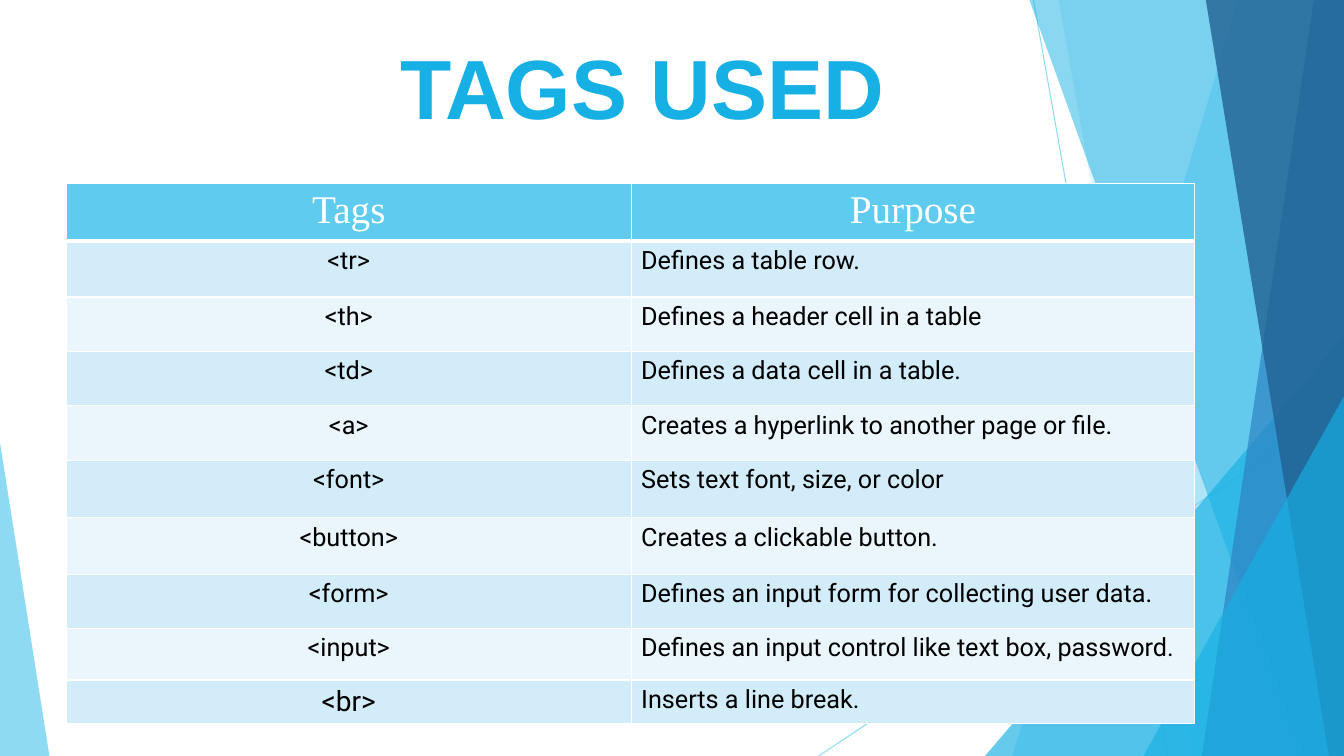
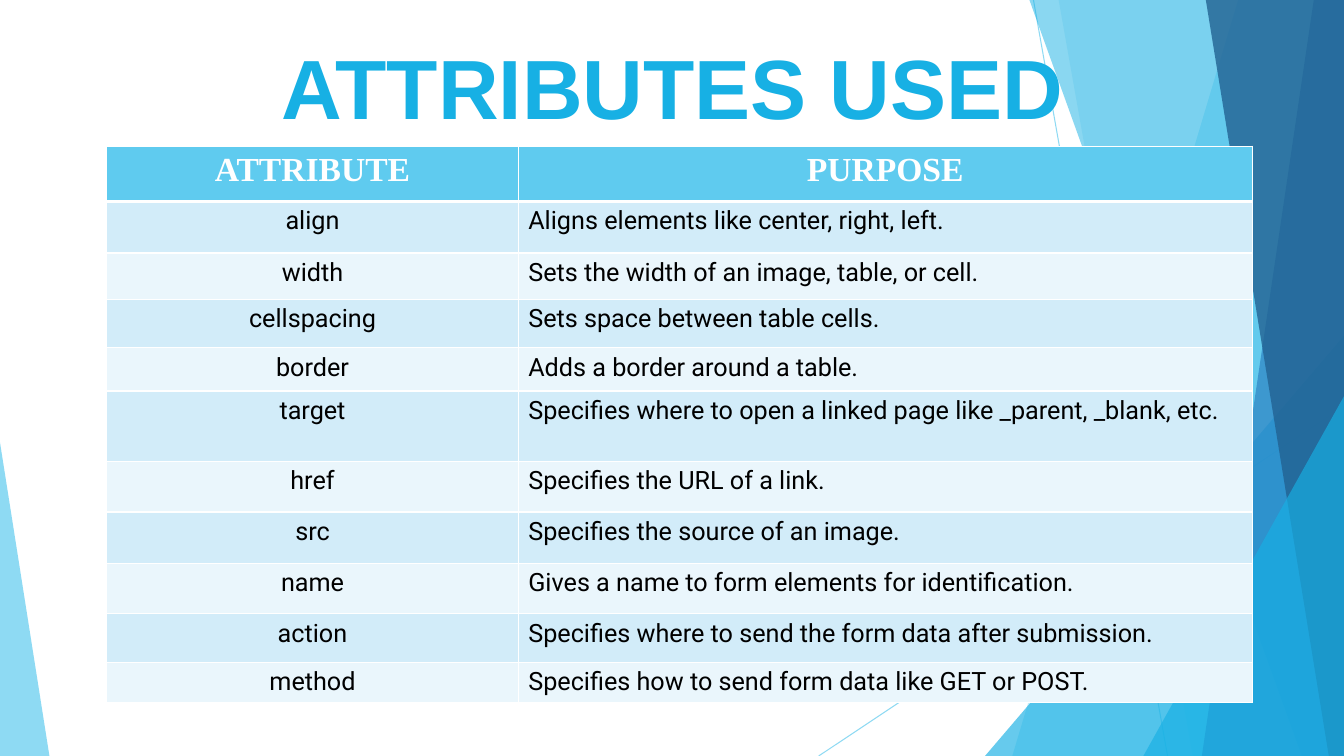
"""Build two slides that list HTML tags and attributes in tables."""
from lxml.etree import SubElement
from pptx import Presentation
from pptx.dml.color import RGBColor
from pptx.enum.shapes import MSO_CONNECTOR, MSO_SHAPE
from pptx.enum.text import PP_ALIGN
from pptx.oxml import parse_xml
from pptx.oxml.ns import nsdecls, qn
from pptx.util import Emu, Pt

EMU_PER_PX = 9144
WIDTH, HEIGHT = 1333, 750
SKY, CYAN, BLUE, NAVY = "5FCBEF", "17B0E4", "2E83C3", "226292"
WHITE, BLACK = "FFFFFF", "000000"
BANDS = ["D2ECF9", "EAF6FC"]

RAYS = [(1025, 0, 1158, HEIGHT), (WIDTH, 403, 812, HEIGHT)]
# Two numbers: top and bottom x of a facet; five: left, top, width, height, apex.
FACETS = [
    (SKY, 36, (1228, 1004)),
    (SKY, 20, (1050, 1183)),
    (CYAN, 66, (977, 333, 356, 417, 1)),
    (CYAN, 50, (1021, 1291)),
    (BLUE, 70, (1303, 1192)),
    (NAVY, 80, (1196, 1318)),
    (CYAN, 66, (1134, 393, 199, 357, 1)),
    (SKY, 70, (0, 439, 49, 311, 0)),
]

SLIDES = [
    {
        "title": "TAGS USED", "title_left": 62,
        "table_at": (66, 182), "columns": (560, 559),
        "header_size": 28, "header_bold": False,
        "rows": [
            (56, "Tags", "Purpose"),
            (56, "<tr>", "Defines a table row."),
            (54, "<th>", "Defines a header cell in a table"),
            (54, "<td>", "Defines a data cell in a table."),
            (54, "<a>", "Creates a hyperlink to another page or file."),
            (57, "<font>", "Sets text font, size, or color"),
            (56, "<button>", "Creates a clickable button."),
            (54, "<form>", "Defines an input form for collecting user data."),
            (51, "<input>", "Defines an input control like text box, password."),
            (43, "<br>", "Inserts a line break."),
        ],
    },
    {
        "title": "ATTRIBUTES USED", "title_left": 92,
        "table_at": (106, 145), "columns": (408, 728),
        "header_size": 24, "header_bold": True,
        "rows": [
            (55, "ATTRIBUTE", "PURPOSE"),
            (51, "align", "Aligns elements like center, right, left."),
            (46, "width", "Sets the width of an image, table, or cell."),
            (48, "cellspacing", "Sets space between table cells."),
            (43, "border", "Adds a border around a table."),
            (70, "target", "Specifies where to open a linked page like _parent, _blank, etc."),
            (50, "href", "Specifies the URL of a link."),
            (51, "src", "Specifies the source of an image."),
            (50, "name", "Gives a name to form elements for identification."),
            (48, "action", "Specifies where to send the form data after submission."),
            (40, "method", "Specifies how to send form data like GET or POST."),
        ],
    },
]


def px(*lengths):
    """Turn px lengths into EMU."""
    return [Emu(length * EMU_PER_PX) for length in lengths]


def paint(fill, color):
    """Fill a shape, line, cell or font with a hex colour."""
    fill.solid()
    fill.fore_color.rgb = RGBColor.from_string(color)


presentation = Presentation()
presentation.slide_width, presentation.slide_height = px(WIDTH, HEIGHT)

for content in SLIDES:
    slide = presentation.slides.add_slide(presentation.slide_layouts[6])
    shapes = slide.shapes
    decorations = []

    for ends in RAYS:
        ray = shapes.add_connector(MSO_CONNECTOR.STRAIGHT, *px(*ends))
        ray.line.width = Pt(0.75)
        paint(ray.line.fill, SKY)
        SubElement(ray.element.spPr, qn("a:effectLst"))
        decorations.append((ray, 70))

    for color, opacity, geometry in FACETS:
        if len(geometry) == 2:
            top_x, bottom_x = geometry
            outline = shapes.build_freeform(top_x, 0, EMU_PER_PX)
            outline.add_line_segments([(WIDTH, 0), (WIDTH, HEIGHT), (bottom_x, HEIGHT)])
            facet = outline.convert_to_shape()
        else:
            *box, apex = geometry
            facet = shapes.add_shape(MSO_SHAPE.ISOSCELES_TRIANGLE, *px(*box))
            facet.adjustments[0] = apex
        facet.shadow.inherit = False
        facet.line.fill.background()
        paint(facet.fill, color)
        decorations.append((facet, opacity))

    for shape, opacity in decorations:
        for color_element in shape.element.iter(qn("a:srgbClr")):
            SubElement(color_element, qn("a:alpha"), val=str(opacity * 1000))

    title = shapes.add_textbox(*px(content["title_left"], 30, 1150, 106))
    title.text_frame.word_wrap = True
    paragraph = title.text_frame.paragraphs[0]
    paragraph.text = content["title"]
    paragraph.alignment = PP_ALIGN.CENTER
    paragraph.font.name = "Arial"
    paragraph.font.size = Pt(60)
    paragraph.font.bold = True
    paint(paragraph.font.fill, CYAN)

    rows, columns = content["rows"], content["columns"]
    table_size = sum(columns), sum(row[0] for row in rows)
    table = shapes.add_table(
        len(rows), len(columns), *px(*content["table_at"], *table_size)
    ).table
    table.first_row = table.horz_banding = False
    for column, width in zip(table.columns, columns):
        column.width = px(width)[0]

    for row_index, (height, *texts) in enumerate(rows):
        table.rows[row_index].height = px(height)[0]
        is_header = row_index == 0
        for column_index, text in enumerate(texts):
            cell = table.cell(row_index, column_index)
            borders = {"L": 1, "R": 1, "T": 3 if row_index == 1 else 1, "B": 3 if is_header else 1}
            properties = cell._tc.get_or_add_tcPr()
            for side, width in borders.items():
                properties.append(parse_xml(
                    f'<a:ln{side} {nsdecls("a")} w="{Pt(width)}"><a:solidFill>'
                    f'<a:srgbClr val="{WHITE}"/></a:solidFill></a:ln{side}>'
                ))
            paint(cell.fill, SKY if is_header else BANDS[(row_index - 1) % 2])

            paragraph = cell.text_frame.paragraphs[0]
            paragraph.text = text
            if is_header or column_index == 0:
                paragraph.alignment = PP_ALIGN.CENTER
            font = paragraph.font
            font.name = "Times New Roman" if is_header else "Roboto"
            body_size = 20 if text == "<br>" else 18
            font.size = Pt(content["header_size"] if is_header else body_size)
            font.bold = is_header and content["header_bold"]
            paint(font.fill, WHITE if is_header else BLACK)

presentation.save("out.pptx")
